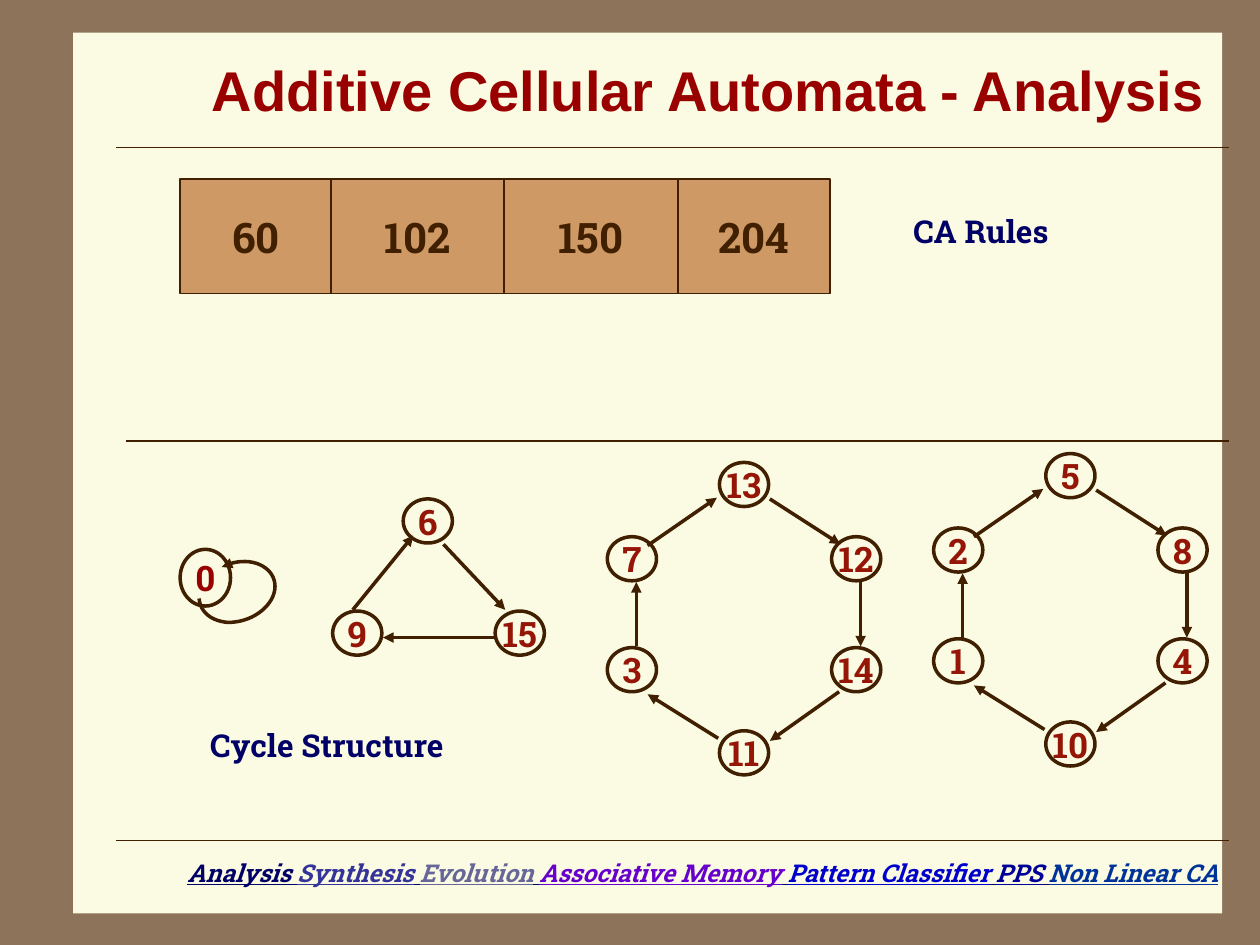
import lxml.etree
import pptx
import pptx.dml.color
import pptx.enum.shapes
import pptx.enum.text
import pptx.oxml.ns
import pptx.util

Inches = pptx.util.Inches
ALIGN = pptx.enum.text.PP_ALIGN
ANCHOR = pptx.enum.text.MSO_ANCHOR
SHAPE = pptx.enum.shapes.MSO_SHAPE
COLORS = {
    "frame": "8C735A", "paper": "FBFAE2", "ink": "402000", "cell": "CE9964",
    "title": "990000", "node": "951507", "label": "000066", "synthesis": "333399",
    "evolution": "666699", "memory": "6600CC", "classifier": "0000CC",
    "pps": "000099", "nonlinear": "003399",
}
NODE = (0.39, 0.35)
TRIANGLE_NODES = [("9", 2.64, 4.85), ("15", 3.93, 4.85), ("6", 3.2, 3.96)]
TRIANGLE_ARROWS = [
    (3.52, 4.32, 4.01, 4.84), (3.92, 5.06, 3.04, 5.06), (2.8, 4.84, 3.28, 4.25),
]
HEXAGON_PLACES = [
    (5.71, 3.67), (6.6, 4.26), (6.6, 5.14), (5.71, 5.8), (4.82, 5.14), (4.82, 4.26),
]
HEXAGON_ARROWS = [
    (6.11, 3.96, 6.67, 4.32), (6.83, 4.62, 6.83, 5.13), (6.66, 5.49, 6.11, 5.88),
    (5.7, 5.86, 5.14, 5.51), (5.05, 5.13, 5.05, 4.62), (5.14, 4.33, 5.69, 3.95),
]
HEXAGONS = [
    (("13", "12", "14", "11", "3", "7"), 0, 0),
    (("5", "8", "4", "10", "1", "2"), 2.59, -0.07),
]
LOOP_START = (1.76, 4.5)
LOOP_CURVES = [
    ((1.88, 4.44), (2.02, 4.44), (2.11, 4.51)),
    ((2.19, 4.57), (2.21, 4.68), (2.14, 4.78)),
    ((2.07, 4.88), (1.94, 4.94), (1.81, 4.94)),
    ((1.68, 4.93), (1.59, 4.86), (1.58, 4.75)),
]
TOPICS = [
    ("Analysis ", "label"), ("Synthesis", "synthesis"), (" ", "label"),
    ("Evolution", "evolution"), (" ", "label"), ("Associative Memory", "memory"),
    (" ", "label"), ("Pattern Classifier", "classifier"), (" ", "label"),
    ("PPS", "pps"), (" ", "label"), ("Non Linear CA", "nonlinear"),
]


def curve_points(start, curves, steps=12):
    """Return points along a chain of cubic curves."""
    points = []
    for first, second, end in curves:
        for step in range(1, steps + 1):
            t = step / steps
            weights = ((1 - t) ** 3, 3 * t * (1 - t) ** 2, 3 * t * t * (1 - t), t ** 3)
            corners = (start, first, second, end)
            points.append(tuple(
                Inches(sum(w * corner[axis] for w, corner in zip(weights, corners)))
                for axis in (0, 1)
            ))
        start = end
    return points


class Painter:
    """Draws styled elements on the current slide."""

    def __init__(self, page):
        self.page = page
        self.font = "Roboto Slab"

    def color(self, name):
        return pptx.dml.color.RGBColor.from_string(COLORS[name])

    def background(self, name):
        fill = self.page.background.fill
        fill.solid()
        fill.fore_color.rgb = self.color(name)

    def stroke(self, item, width, arrow=None):
        item.line.color.rgb = self.color("ink")
        item.line.width = pptx.util.Pt(width)
        if arrow:
            outline = item.line._get_or_add_ln()
            lxml.etree.SubElement(outline, pptx.oxml.ns.qn("a:" + arrow), type="triangle")

    def add_spans(self, box, spans, size, align, anchor, wrap, font=None, slanted=False):
        frame = box.text_frame
        frame.word_wrap = wrap
        frame.vertical_anchor = anchor
        para = frame.paragraphs[0]
        para.alignment = align
        for text, color in spans:
            span = para.add_run()
            span.text = text
            span.font.name = font or self.font
            span.font.size = pptx.util.Pt(size)
            span.font.bold = True
            if slanted:
                span.font.italic = span.font.underline = True
            span.font.color.rgb = self.color(color)

    def text(self, place, spans, size, align=ALIGN.LEFT, anchor=ANCHOR.TOP, **style):
        box = self.page.shapes.add_textbox(*map(Inches, place))
        self.add_spans(box, spans, size, align, anchor, True, **style)

    def shape(self, kind, place, fill=None, width=None):
        item = self.page.shapes.add_shape(kind, *map(Inches, place))
        item.shadow.inherit = False
        if fill:
            item.fill.solid()
            item.fill.fore_color.rgb = self.color(fill)
        else:
            item.fill.background()
        if width:
            self.stroke(item, width)
        else:
            item.line.fill.background()
        return item

    def cell(self, text, place):
        item = self.shape(SHAPE.RECTANGLE, place, "cell", 1)
        self.add_spans(item, [(text, "ink")], 24, ALIGN.CENTER, ANCHOR.MIDDLE, False)

    def node(self, text, left, top, size=NODE, color="node"):
        item = self.shape(SHAPE.OVAL, (left, top, *size), width=2)
        self.add_spans(item, [(text, color)], 20, ALIGN.CENTER, ANCHOR.MIDDLE, False)

    def line(self, ends, width=1, arrow=None):
        straight = pptx.enum.shapes.MSO_CONNECTOR.STRAIGHT
        item = self.page.shapes.add_connector(straight, *map(Inches, ends))
        self.stroke(item, width, arrow)
        lxml.etree.SubElement(item._element.spPr, pptx.oxml.ns.qn("a:effectLst"))

    def loop(self, start, curves):
        builder = self.page.shapes.build_freeform(*map(Inches, start))
        builder.add_line_segments(curve_points(start, curves), close=False)
        item = builder.convert_to_shape()
        item.shadow.inherit = False
        item.fill.background()
        self.stroke(item, 2, "headEnd")

    def cycle(self, nodes, arrows, right=0, down=0):
        for text, left, top in nodes:
            self.node(text, left + right, top + down)
        for x1, y1, x2, y2 in arrows:
            ends = (x1 + right, y1 + down, x2 + right, y2 + down)
            self.line(ends, 2, "tailEnd")


def main():
    deck = pptx.Presentation()
    deck.slide_width, deck.slide_height = Inches(10), Inches(7.5)
    painter = Painter(deck.slides.add_slide(deck.slide_layouts[6]))
    painter.background("frame")
    painter.shape(SHAPE.RECTANGLE, (0.58, 0.26, 9.12, 6.99), "paper")
    for left, top in ((0.92, 1.17), (1, 3.5), (0.92, 6.67)):
        painter.line((left, top, 9.75, top))
    painter.text((0.6, 6.76, 9.17, 0.57), TOPICS, 14, ALIGN.RIGHT, slanted=True)
    painter.text((1.08, 0.17, 8.58, 1.08), [("Additive Cellular Automata - Analysis", "title")],
                 32, ALIGN.RIGHT, ANCHOR.MIDDLE, font="Arial")

    left = 1.43
    for rule, width in (("60", 1.2), ("102", 1.37), ("150", 1.38), ("204", 1.21)):
        painter.cell(rule, (left, 1.42, width, 0.91))
        left += width
    painter.text((7.15, 1.63, 1.37, 0.4), [("CA Rules", "label")], 18)

    painter.node("0", 1.43, 4.36, (0.4, 0.45), "title")
    painter.loop(LOOP_START, LOOP_CURVES)
    painter.cycle(TRIANGLE_NODES, TRIANGLE_ARROWS)
    for names, right, down in HEXAGONS:
        nodes = [(name, *place) for name, place in zip(names, HEXAGON_PLACES)]
        painter.cycle(nodes, HEXAGON_ARROWS, right, down)
    painter.text((1.57, 5.71, 2.24, 0.4), [("Cycle Structure", "label")], 18)
    deck.save("out.pptx")


if __name__ == "__main__":
    main()
